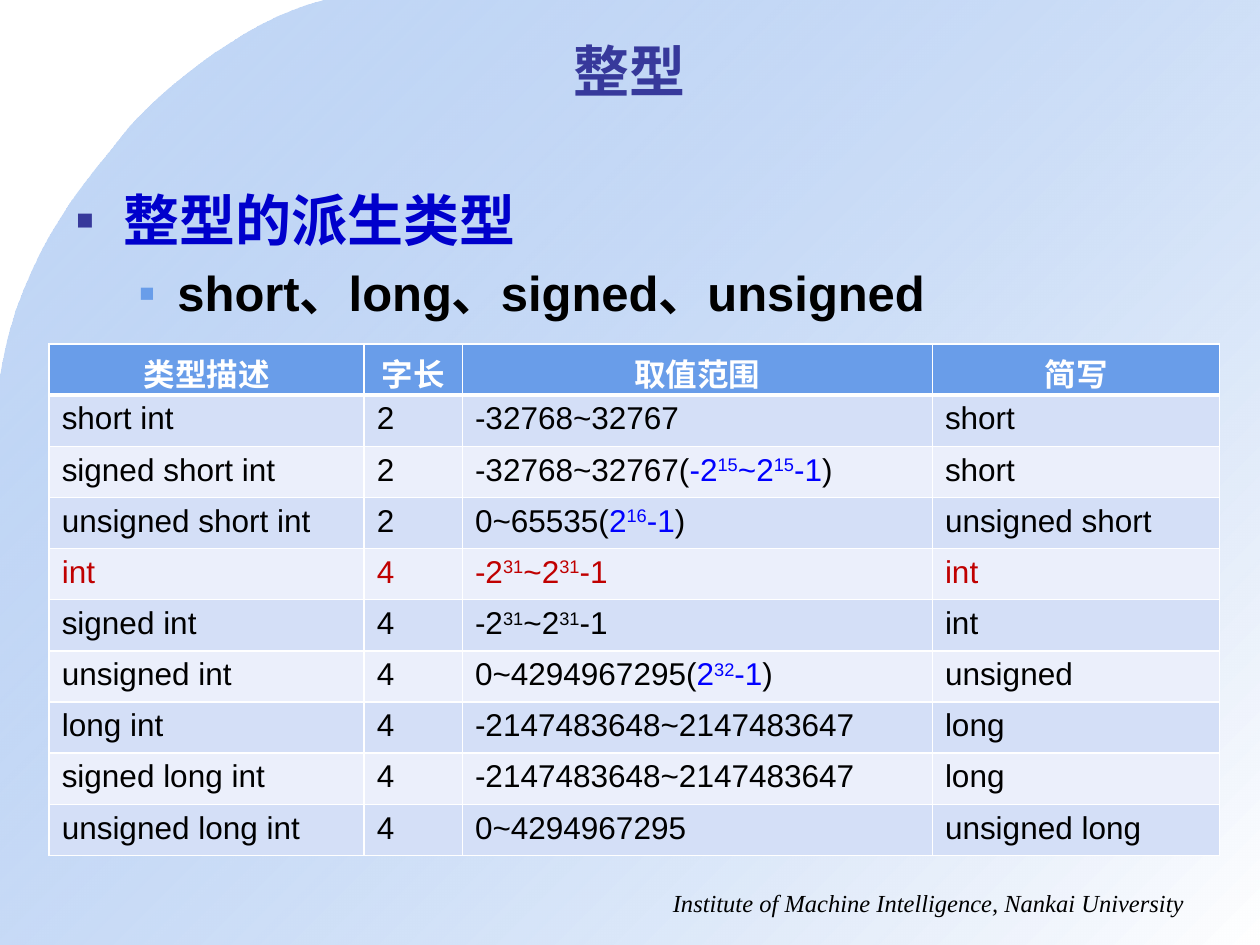
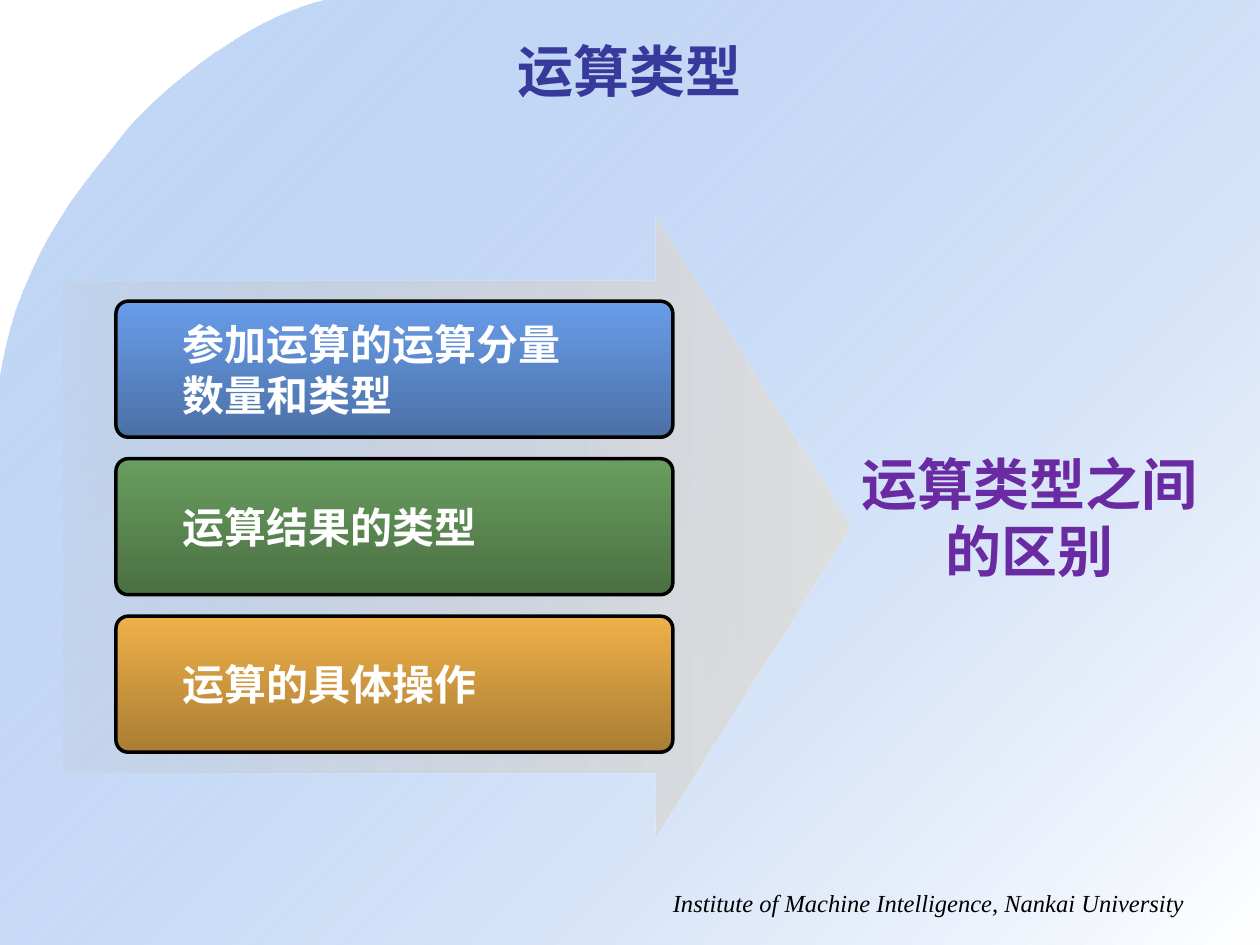
from typing import NamedTuple

from lxml.etree import SubElement
from pptx import Presentation
from pptx.dml.color import RGBColor
from pptx.enum.shapes import MSO_SHAPE
from pptx.enum.text import MSO_ANCHOR, MSO_AUTO_SIZE, PP_ALIGN
from pptx.oxml import parse_xml
from pptx.oxml.ns import nsdecls, qn
from pptx.util import Inches, Pt

COLORS = {
    "title": "37399B", "heading": "0000CC", "black": "000000", "white": "FFFFFF",
    "sky": "699DE9", "green": "699D5F", "amber": "EFB049", "purple": "692AA2",
    "blue": "0000FF", "red": "C00000", "row_odd": "D4DFF7", "row_even": "EBEFFB",
    "arrow_tail": "C0C0C0", "arrow_tip": "DEDEDE",
}
LATIN, CJK, SERIF = "Arial", "Noto Sans CJK SC", "Times New Roman"


class Box(NamedTuple):
    left: float
    top: float
    width: float
    height: float

    def emu(self) -> tuple:
        return tuple(Inches(v) for v in self)


class Style(NamedTuple):
    size: float
    color: str
    font: str = LATIN
    bold: bool = False
    italic: bool = False


class Stop(NamedTuple):
    color: str
    effect: str = ""  # "alpha" or "shade"
    percent: float = 100


class Factor(NamedTuple):
    lines: str
    color: str


TITLE = Style(32, "title", bold=True)
FOOTER = Style(14, "black", SERIF, italic=True)
FACTOR = Style(24, "white", CJK, bold=True)
HEADER = Style(18, "white", bold=True)

COLUMN_WIDTHS = (2.5, 0.78, 3.73, 2.28)
HEADINGS = ("类型描述", "字长", "取值范围", "简写")
# Carets enclose superscripts; a bracketed range is shown in blue
INT_TYPES = (
    ("short int", "2", "-32768~32767", "short"),
    ("signed short int", "2", "-32768~32767(-2^15^~2^15^-1)", "short"),
    ("unsigned short int", "2", "0~65535(2^16^-1)", "unsigned short"),
    ("int", "4", "-2^31^~2^31^-1", "int"),
    ("signed int", "4", "-2^31^~2^31^-1", "int"),
    ("unsigned int", "4", "0~4294967295(2^32^-1)", "unsigned"),
    ("long int", "4", "-2147483648~2147483647", "long"),
    ("signed long int", "4", "-2147483648~2147483647", "long"),
    ("unsigned long int", "4", "0~4294967295", "unsigned long"),
)
FACTORS = (
    Factor("参加运算的运算分量\n数量和类型", "sky"),
    Factor("运算结果的类型", "green"),
    Factor("运算的具体操作", "amber"),
)


def rgb(name: str) -> RGBColor:
    return RGBColor.from_string(COLORS[name])


# Text helpers
def style_run(r, style: Style) -> None:
    font = r.font
    font.size, font.name = Pt(style.size), style.font
    font.bold, font.italic = style.bold, style.italic
    font.color.rgb = rgb(style.color)
    r.font.language_id = None
    SubElement(r._r.get_or_add_rPr(), qn("a:ea"), typeface=CJK)


def style_text(tf, style: Style, align=PP_ALIGN.LEFT) -> None:
    for p in tf.paragraphs:
        p.alignment = align
        for r in p.runs:
            style_run(r, style)


def add_text(slide, box: Box, text: str, style: Style, align=PP_ALIGN.LEFT):
    tf = slide.shapes.add_textbox(*box.emu()).text_frame
    tf.word_wrap = True
    tf.text = text
    style_text(tf, style, align)
    return tf


def indent(p, left: float, hanging: float = 0, bullet_color: str = "") -> None:
    pPr = p._p.get_or_add_pPr()
    pPr.set("marL", str(Inches(left)))
    pPr.set("indent", str(-Inches(hanging)))
    if bullet_color:
        color = SubElement(pPr, qn("a:buClr"))
        SubElement(color, qn("a:srgbClr"), val=COLORS[bullet_color])
        SubElement(pPr, qn("a:buFont"), typeface=LATIN)
        SubElement(pPr, qn("a:buChar"), char="▪")


# Shape helpers
def gradient(sp, stops: tuple, angle: int) -> None:
    sp.shadow.inherit = False
    sp.fill.solid()
    spPr = sp.element.spPr
    grad = parse_xml(f'<a:gradFill {nsdecls("a")} rotWithShape="1"><a:gsLst/>'
                     f'<a:lin ang="{angle * 60000}" scaled="0"/></a:gradFill>')
    for pos, stop in zip((0, 100000), stops):
        gs = SubElement(grad[0], qn("a:gs"), pos=str(pos))
        color = SubElement(gs, qn("a:srgbClr"), val=COLORS[stop.color])
        if stop.effect:
            SubElement(color, qn(f"a:{stop.effect}"), val=str(round(stop.percent * 1000)))
    spPr.replace(spPr.find(qn("a:solidFill")), grad)


def bezier(points: tuple, steps: int = 16) -> list:
    """Points along a cubic curve, without its start."""
    curve = []
    for i in range(1, steps + 1):
        t = i / steps
        weights = ((1 - t) ** 3, 3 * t * (1 - t) ** 2, 3 * t * t * (1 - t), t ** 3)
        curve.append(tuple(Inches(sum(w * p[axis] for w, p in zip(weights, points)))
                           for axis in (0, 1)))
    return curve


def add_backdrop(slide):
    start, shoulder, foot = (2.58, 0), (0.98, 1.07), (0, 3.01)
    outline = bezier((start, (1.9, 0.16), (1.16, 0.83), shoulder))
    outline += bezier((shoulder, (0.8, 1.32), (0.16, 1.94), foot))
    outline += [(Inches(x), Inches(y)) for x, y in ((0, 7.5), (10, 7.5), (10, 0))]
    builder = slide.shapes.build_freeform(Inches(start[0]), Inches(start[1]))
    builder.add_line_segments(outline, close=True)
    sp = builder.convert_to_shape()
    gradient(sp, (Stop("sky", "alpha", 39), Stop("white")), 45)
    sp.line.fill.background()
    return sp


def new_slide(prs, title: str):
    """Slide with the shared backdrop, footer and title."""
    slide = prs.slides.add_slide(prs.slide_layouts[5])
    s = slide.shapes.title
    s.left, s.top, s.width, s.height = Box(0.5, 0.25, 9, 0.62).emu()
    tf = s.text_frame
    tf.text = title
    tf.auto_size, tf.vertical_anchor = MSO_AUTO_SIZE.NONE, MSO_ANCHOR.MIDDLE
    style_text(tf, TITLE, PP_ALIGN.CENTER)
    s.element.addprevious(add_backdrop(slide).element)
    add_text(slide, Box(4.83, 7, 4.67, 0.34),
             "Institute of Machine Intelligence, Nankai University", FOOTER, PP_ALIGN.RIGHT)
    return slide


# Table helpers
def add_borders(cell, bottom: float) -> None:
    tcPr = cell._tc.get_or_add_tcPr()
    for i, (side, width) in enumerate((("L", 1), ("R", 1), ("T", 1), ("B", bottom))):
        tcPr.insert(i, parse_xml(
            f'<a:ln{side} {nsdecls("a")} w="{Pt(width)}"><a:solidFill>'
            f'<a:srgbClr val="{COLORS["white"]}"/></a:solidFill></a:ln{side}>'))


def write_cell(cell, text: str, style: Style) -> None:
    p = cell.text_frame.paragraphs[0]
    parts = text.replace("(", "(|").replace(")", "|)").split("|")
    for i, part in enumerate(parts):
        for j, piece in enumerate(part.split("^")):
            if not piece:
                continue
            r = p.add_run()
            r.text = piece
            style_run(r, style._replace(color="blue") if i % 2 else style)
            if j % 2:
                r._r.get_or_add_rPr().set("baseline", "30000")


def add_type_table(slide) -> None:
    rows = (HEADINGS,) + INT_TYPES
    table = slide.shapes.add_table(len(rows), len(HEADINGS),
                                   *Box(0.39, 2.73, 9.3, 4.06).emu()).table
    for column, width in zip(table.columns, COLUMN_WIDTHS):
        column.width = Inches(width)
    for i, row in enumerate(rows):
        fill = "sky" if i == 0 else "row_odd" if i % 2 else "row_even"
        style = HEADER if i == 0 else Style(18, "red" if row[0] == "int" else "black")
        for j, text in enumerate(row):
            cell = table.cell(i, j)
            write_cell(cell, text, style)
            if i == 0:
                cell.text_frame.paragraphs[0].alignment = PP_ALIGN.CENTER
            cell.fill.solid()
            cell.fill.fore_color.rgb = rgb(fill)
            add_borders(cell, 1 if i else 3)


# Slides
def build_int_slide(prs) -> None:
    slide = new_slide(prs, "整型")
    tf = add_text(slide, Box(0.5, 1.42, 8.92, 1.08), "整型的派生类型",
                  Style(32, "heading", CJK, bold=True))
    indent(tf.paragraphs[0], 0.38, 0.38, "title")
    p = tf.add_paragraph()
    p.text = "short、long、signed、unsigned"
    indent(p, 0.81, 0.31, "sky")
    p.space_before = Pt(6)
    style_run(p.runs[0], Style(28, "black", bold=True))
    add_type_table(slide)


def build_operation_slide(prs) -> None:
    slide = new_slide(prs, "运算类型")
    arrow = slide.shapes.add_shape(MSO_SHAPE.RIGHT_ARROW, *Box(0.5, 1.72, 6.25, 4.92).emu())
    arrow.adjustments[0], arrow.adjustments[1] = 0.793, 0.315
    gradient(arrow, (Stop("arrow_tail", "alpha", 15), Stop("arrow_tip")), 0)
    arrow.line.fill.background()

    for i, factor in enumerate(FACTORS):
        sp = slide.shapes.add_shape(MSO_SHAPE.ROUNDED_RECTANGLE,
                                    *Box(0.92, 2.39 + i * 1.25, 4.42, 1.08).emu())
        sp.adjustments[0] = 0.091
        gradient(sp, (Stop(factor.color), Stop(factor.color, "shade", 46.28)), 90)
        sp.line.color.rgb, sp.line.width = rgb("black"), Pt(2)
        tf = sp.text_frame
        tf.word_wrap, tf.vertical_anchor = True, MSO_ANCHOR.MIDDLE
        tf.margin_left = tf.margin_right = 0
        tf.text = factor.lines
        for p in tf.paragraphs:
            indent(p, 0.5)
        style_text(tf, FACTOR)

    tf = add_text(slide, Box(6.66, 3.39, 3.03, 1.42), "运算类型之间的区别",
                  Style(32, "purple", CJK, bold=True), PP_ALIGN.CENTER)
    tf.vertical_anchor = MSO_ANCHOR.MIDDLE


def main() -> None:
    prs = Presentation()
    prs.slide_width, prs.slide_height = Inches(10), Inches(7.5)
    build_int_slide(prs)
    build_operation_slide(prs)
    prs.save("out.pptx")


if __name__ == "__main__":
    main()
